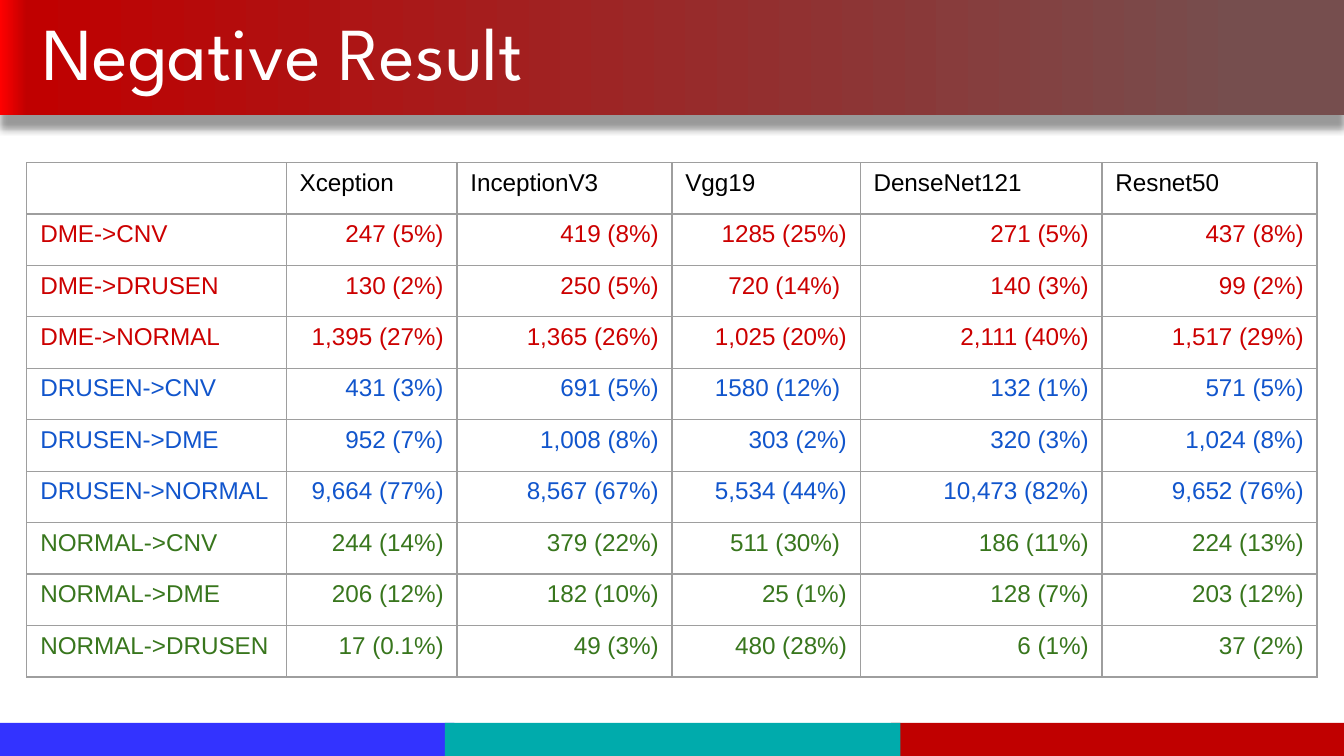
import pptx
import pptx.util
import pptx.dml.color
import pptx.enum.shapes
import pptx.enum.text
import pptx.oxml
import pptx.oxml.ns

Inches = pptx.util.Inches
Pt = pptx.util.Pt
ALIGN = pptx.enum.text.PP_ALIGN
ANCHOR = pptx.enum.text.MSO_ANCHOR
NS = pptx.oxml.ns.nsdecls("a")

MODELS = ["Xception", "InceptionV3", "Vgg19", "DenseNet121", "Resnet50"]
WIDTHS = [1.93, 1.27, 1.6, 1.4, 1.8, 1.6]
HEIGHT = 3.83
# Errors by true class: colour, then one row per wrong class
GROUPS = [
    ("CC0000", [
        ["DME->CNV", "247 (5%)", "419 (8%)", "1285 (25%)", "271 (5%)", "437 (8%)"],
        ["DME->DRUSEN", "130 (2%)", "250 (5%)", "720 (14%) ", "140 (3%)", "99 (2%)"],
        ["DME->NORMAL", "1,395 (27%)", "1,365 (26%)", "1,025 (20%)", "2,111 (40%)", "1,517 (29%)"],
    ]),
    ("1155CC", [
        ["DRUSEN->CNV", "431 (3%)", "691 (5%)", "1580 (12%) ", "132 (1%)", "571 (5%)"],
        ["DRUSEN->DME", "952 (7%)", "1,008 (8%)", "303 (2%)", "320 (3%)", "1,024 (8%)"],
        ["DRUSEN->NORMAL", "9,664 (77%)", "8,567 (67%)", "5,534 (44%)", "10,473 (82%)", "9,652 (76%)"],
    ]),
    ("38761D", [
        ["NORMAL->CNV", "244 (14%)", "379 (22%)", "511 (30%) ", "186 (11%)", "224 (13%)"],
        ["NORMAL->DME", "206 (12%)", "182 (10%)", "25 (1%)", "128 (7%)", "203 (12%)"],
        ["NORMAL->DRUSEN", "17 (0.1%)", "49 (3%)", "480 (28%)", "6 (1%)", "37 (2%)"],
    ]),
]


def tint(hue):
    return pptx.dml.color.RGBColor.from_string(hue)


def add_run(para, text, size, font, hue):
    run = para.add_run()
    run.text = text
    run.font.size = Pt(size)
    run.font.name = font
    run.font.color.rgb = tint(hue)


def add_bar(slide, left, top, width, height, hue):
    bar = slide.shapes.add_shape(
        pptx.enum.shapes.MSO_SHAPE.RECTANGLE,
        Inches(left), Inches(top), Inches(width), Inches(height))
    bar.shadow.inherit = False
    bar.fill.solid()
    bar.fill.fore_color.rgb = tint(hue)
    bar.line.fill.background()
    return bar


def add_banner(slide):
    bar = add_bar(slide, 0, 0, 10, 0.86, "C00000")

    # Four-stop gradient, left to right
    bar.fill.gradient()
    bar.fill.gradient_angle = 0
    props = bar._element.spPr
    stops = props.find(".//" + pptx.oxml.ns.qn("a:gsLst"))
    stops.clear()
    for spot, hue in [(0, "FF0000"), (2, "C00000"), (93, "764E4E"), (100, "764E4E")]:
        stops.append(pptx.oxml.parse_xml(
            f'<a:gs {NS} pos="{spot * 1000}"><a:srgbClr val="{hue}"/></a:gs>'))

    # Soft shadow straight below
    props.find(pptx.oxml.ns.qn("a:effectLst")).append(pptx.oxml.parse_xml(
        f'<a:outerShdw {NS} blurRad="{Pt(4)}" dist="{Pt(7)}" dir="5400000" '
        'algn="t" rotWithShape="0"><a:srgbClr val="000000">'
        '<a:alpha val="40000"/></a:srgbClr></a:outerShdw>'))


def add_title(slide, text):
    box = slide.shapes.add_textbox(Inches(0.22), Inches(0.02), Inches(9.6), Inches(0.8))
    frame = box.text_frame
    frame.word_wrap = True
    frame.vertical_anchor = ANCHOR.MIDDLE
    para = frame.paragraphs[0]
    para.line_spacing = 0.9
    add_run(para, text, 40, "League Spartan", "FFFFFF")


def add_edges(cell, hue, width):
    props = cell._tc.get_or_add_tcPr()
    for side in ("L", "R", "T", "B"):
        props.append(pptx.oxml.parse_xml(
            f'<a:ln{side} {NS} w="{Pt(width)}"><a:solidFill>'
            f'<a:srgbClr val="{hue}"/></a:solidFill></a:ln{side}>'))


def fill_cell(cell, text, hue, align):
    cell.margin_left = cell.margin_right = Inches(0.1)
    cell.margin_top = cell.margin_bottom = Inches(0.05)
    add_edges(cell, "9E9E9E", 0.75)
    cell.fill.background()
    para = cell.text_frame.paragraphs[0]
    para.alignment = align
    if text:
        add_run(para, text, 13, "Arial", hue)
    else:
        # Keep the blank corner from stretching its row
        para._p.get_or_add_endParaRPr().set("sz", "1300")


def add_grid(slide):
    rows = [("000000", [""] + MODELS)]
    rows += [(hue, row) for hue, group in GROUPS for row in group]
    table = slide.shapes.add_table(
        len(rows), len(WIDTHS),
        Inches(0.2), Inches(1.21), Inches(sum(WIDTHS)), Inches(HEIGHT)).table
    table.first_row = table.horz_banding = False
    for col, width in zip(table.columns, WIDTHS):
        col.width = Inches(width)
    for r, (hue, row) in enumerate(rows):
        table.rows[r].height = Inches(HEIGHT / len(rows))
        for c, text in enumerate(row):
            align = ALIGN.RIGHT if r and c else ALIGN.LEFT
            fill_cell(table.cell(r, c), text, hue, align)


def main():
    # Widescreen, 16 to 9
    deck = pptx.Presentation()
    deck.slide_width = Inches(10)
    deck.slide_height = Inches(10 * 9 / 16)
    slide = deck.slides.add_slide(deck.slide_layouts[6])

    # Footer stripes
    for left, hue in [(6.63, "C00000"), (-0.01, "3333FF"), (3.31, "00ABAC")]:
        add_bar(slide, left, 5.38, 3.39, 0.26, hue)

    # Header and results
    add_banner(slide)
    add_title(slide, "Negative Result")
    add_grid(slide)
    deck.save("out.pptx")


if __name__ == "__main__":
    main()
